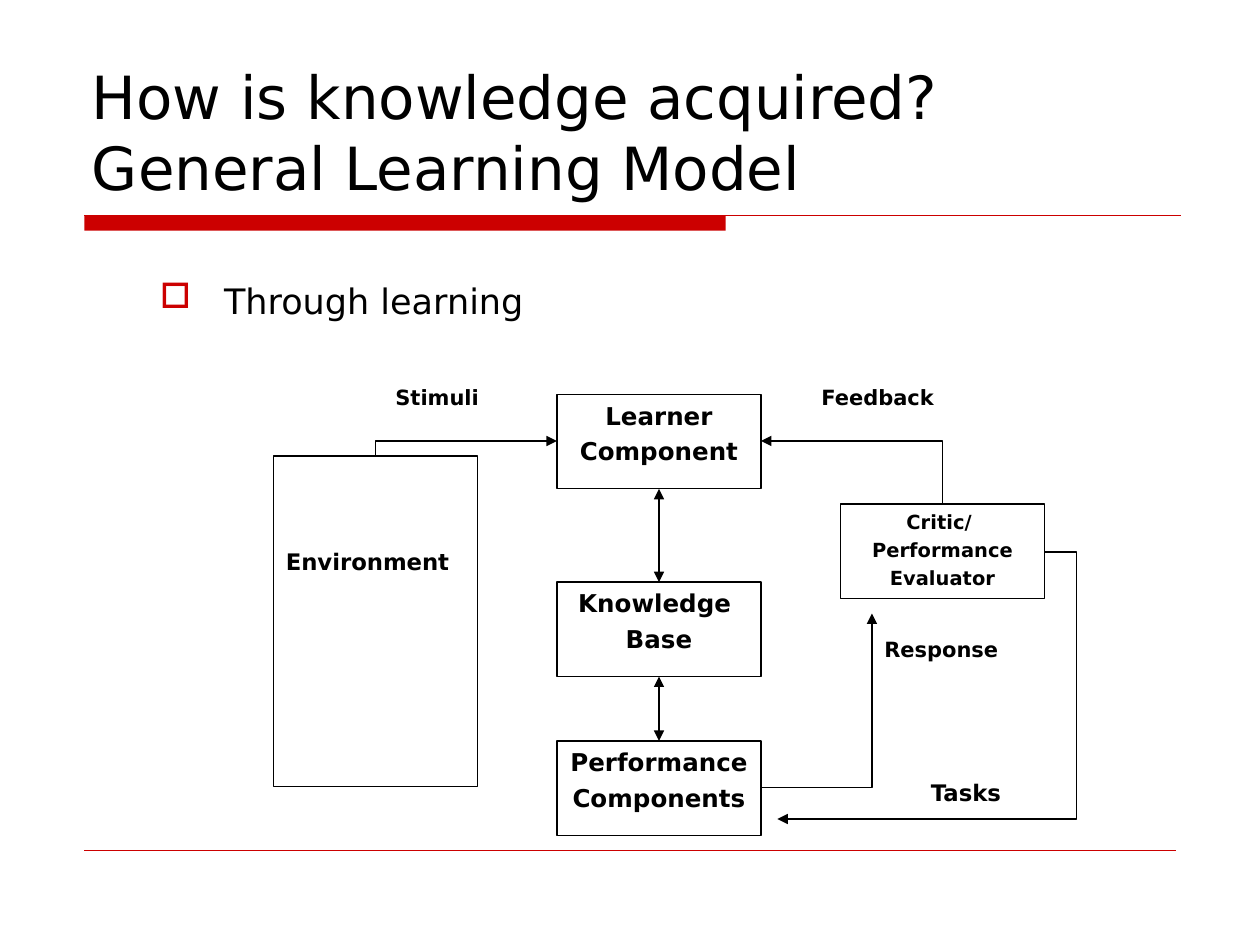
from lxml.etree import SubElement
from pptx import Presentation
from pptx.dml.color import RGBColor
from pptx.enum.shapes import MSO_CONNECTOR as Connector, MSO_SHAPE as Shape
from pptx.enum.text import MSO_ANCHOR as Anchor, MSO_AUTO_SIZE as AutoSize, PP_ALIGN as Align
from pptx.oxml.ns import qn
from pptx.util import Inches, Pt

BLACK = RGBColor(0x00, 0x00, 0x00)
WHITE = RGBColor(0xFF, 0xFF, 0xFF)
RED = RGBColor(0xCC, 0x00, 0x00)
FONT = "DejaVu Sans"
BOX_WIDTH, BOX_HEIGHT = 1.62, 0.75
CENTRE_LEFT = 4.42


def style_font(para, size, bold=False):
    para.font.name = FONT
    para.font.size = Pt(size)
    para.font.bold = bold
    para.font.color.rgb = BLACK


def add_title(page, text):
    title = page.shapes.title
    title.left, title.top = Inches(0.63), Inches(0.33)
    title.width, title.height = Inches(8.75), Inches(1.33)
    frame = title.text_frame
    frame.text = text
    frame.auto_size = AutoSize.NONE
    frame.vertical_anchor = Anchor.BOTTOM
    para = frame.paragraphs[0]
    para.alignment = Align.LEFT
    style_font(para, 34)


def add_rect(page, left, top, width, height, fill, outlined=False):
    rect = page.shapes.add_shape(
        Shape.RECTANGLE, Inches(left), Inches(top), Inches(width), Inches(height))
    rect.shadow.inherit = False
    rect.fill.solid()
    rect.fill.fore_color.rgb = fill
    if outlined:
        rect.line.color.rgb = BLACK
        rect.line.width = Pt(0.75)
    else:
        rect.line.fill.background()
    return rect


def add_box(page, left, top, lines, size, width=BOX_WIDTH, height=BOX_HEIGHT,
            outlined=True, align=Align.CENTER, top_inset=0.05):
    """A white rectangle with bold lines of text, one paragraph each."""
    box = add_rect(page, left, top, width, height, WHITE, outlined)
    frame = box.text_frame
    frame.word_wrap = True
    frame.vertical_anchor = Anchor.TOP
    frame.margin_top = Inches(top_inset)
    for number, line in enumerate(lines):
        para = frame.add_paragraph() if number else frame.paragraphs[0]
        para.text = line
        para.alignment = align
        if number:
            para.space_before = Pt(size / 4)
        style_font(para, size, bold=True)


def add_label(page, left, top, text, size, width, height):
    add_box(page, left, top, [text], size, width, height, False, Align.LEFT)


def add_bullet(page, text):
    box = page.shapes.add_textbox(Inches(1.17), Inches(2.17), Inches(8.17), Inches(0.44))
    box.text_frame.word_wrap = True
    para = box.text_frame.paragraphs[0]
    para.text = text
    para.alignment = Align.JUSTIFY
    props = para._p.get_or_add_pPr()
    props.set("marL", str(Inches(0.51)))
    props.set("indent", str(-Inches(0.51)))
    colour = SubElement(props, qn("a:buClr"))
    SubElement(colour, qn("a:srgbClr"), val=str(RED))
    SubElement(props, qn("a:buChar"), char="□")
    style_font(para, 20)


def add_line(page, start, end, colour=BLACK, width=0.75, kind=Connector.STRAIGHT, heads=()):
    line = page.shapes.add_connector(kind, *map(Inches, (*start, *end)))
    line.line.color.rgb = colour
    line.line.width = Pt(width)
    outline = line.line._get_or_add_ln()
    for head in heads:
        SubElement(outline, qn(f"a:{head}"), type="triangle")
    SubElement(line._element.spPr, qn("a:effectLst"))
    return line


def add_corner_arrow(page, start, end, vertical_first=False):
    """An arrow with one right-angled corner."""
    (x1, y1), (x2, y2) = start, end
    if vertical_first:
        # The frame is turned by 270 degrees about its centre
        mid_x, mid_y = (x1 + x2) / 2, (y1 + y2) / 2
        half_run, half_rise = (y1 - y2) / 2, (x2 - x1) / 2
        start = mid_x - half_run, mid_y - half_rise
        end = mid_x + half_run, mid_y + half_rise
    arrow = add_line(page, start, end, kind=Connector.ELBOW, heads=["tailEnd"])
    props = arrow._element.spPr
    props.find(qn("a:prstGeom")).set("prst", "bentConnector2")
    if vertical_first:
        props.find(qn("a:xfrm")).set("rot", "16200000")


def add_loop_arrow(page, start, end, bend):
    """An elbow arrow whose middle part lies at the given share of its width."""
    arrow = add_line(page, start, end, kind=Connector.ELBOW, heads=["tailEnd"])
    geometry = arrow._element.spPr.find(qn("a:prstGeom"))
    guides = geometry.find(qn("a:avLst"))
    if guides is None:
        guides = SubElement(geometry, qn("a:avLst"))
    SubElement(guides, qn("a:gd"), name="adj1", fmla=f"val {round(bend * 100000)}")


def main():
    deck = Presentation()
    deck.slide_width, deck.slide_height = Inches(10), Inches(7.5)
    page = deck.slides.add_slide(deck.slide_layouts[5])

    # Heading, rules and bullet
    add_rect(page, 0.67, 1.71, 5.09, 0.12, RED)
    add_line(page, (0.67, 1.71), (9.37, 1.71), RED)
    add_line(page, (0.67, 6.75), (9.33, 6.75), RED, 0.25)
    add_title(page, "How is knowledge acquired?\vGeneral Learning Model")
    add_bullet(page, "Through learning")

    # Labels of the flows
    add_label(page, 3.04, 3, "Stimuli", 12, 1, 0.37)
    add_label(page, 6.42, 3, "Feedback", 12, 1.12, 0.37)
    add_label(page, 6.92, 5, "Response", 12, 1.12, 0.5)
    add_label(page, 7.29, 6.13, "Tasks", 13, 1, 0.38)

    # Components of the model
    add_box(page, 2.17, 3.62, ["Environment"], 13, height=2.62,
            align=Align.LEFT, top_inset=0.73)
    for top, lines in (
        (3.13, ["Learner", "Component"]),
        (4.62, ["Knowledge ", "Base"]),
        (5.88, ["Performance ", "Components"]),
    ):
        add_box(page, CENTRE_LEFT, top, lines, 14)
    add_box(page, 6.67, 4, ["Critic/ ", "Performance", "Evaluator"], 11.1)

    # Two-way arrows down the middle column
    middle = CENTRE_LEFT + BOX_WIDTH / 2
    for top, bottom in ((3.88, 4.62), (5.37, 5.88)):
        add_line(page, (middle, top), (middle, bottom), heads=["headEnd", "tailEnd"])

    # Stimuli, feedback, response and tasks
    centre_right = CENTRE_LEFT + BOX_WIDTH
    add_corner_arrow(page, (2.98, 3.62), (CENTRE_LEFT, 3.5), vertical_first=True)
    add_corner_arrow(page, (7.48, 4), (centre_right, 3.5), vertical_first=True)
    add_corner_arrow(page, (centre_right, 6.25), (6.92, 4.87))
    add_loop_arrow(page, (8.29, 4.38), (6.17, 6.5), -0.12)

    deck.save("out.pptx")


if __name__ == "__main__":
    main()
